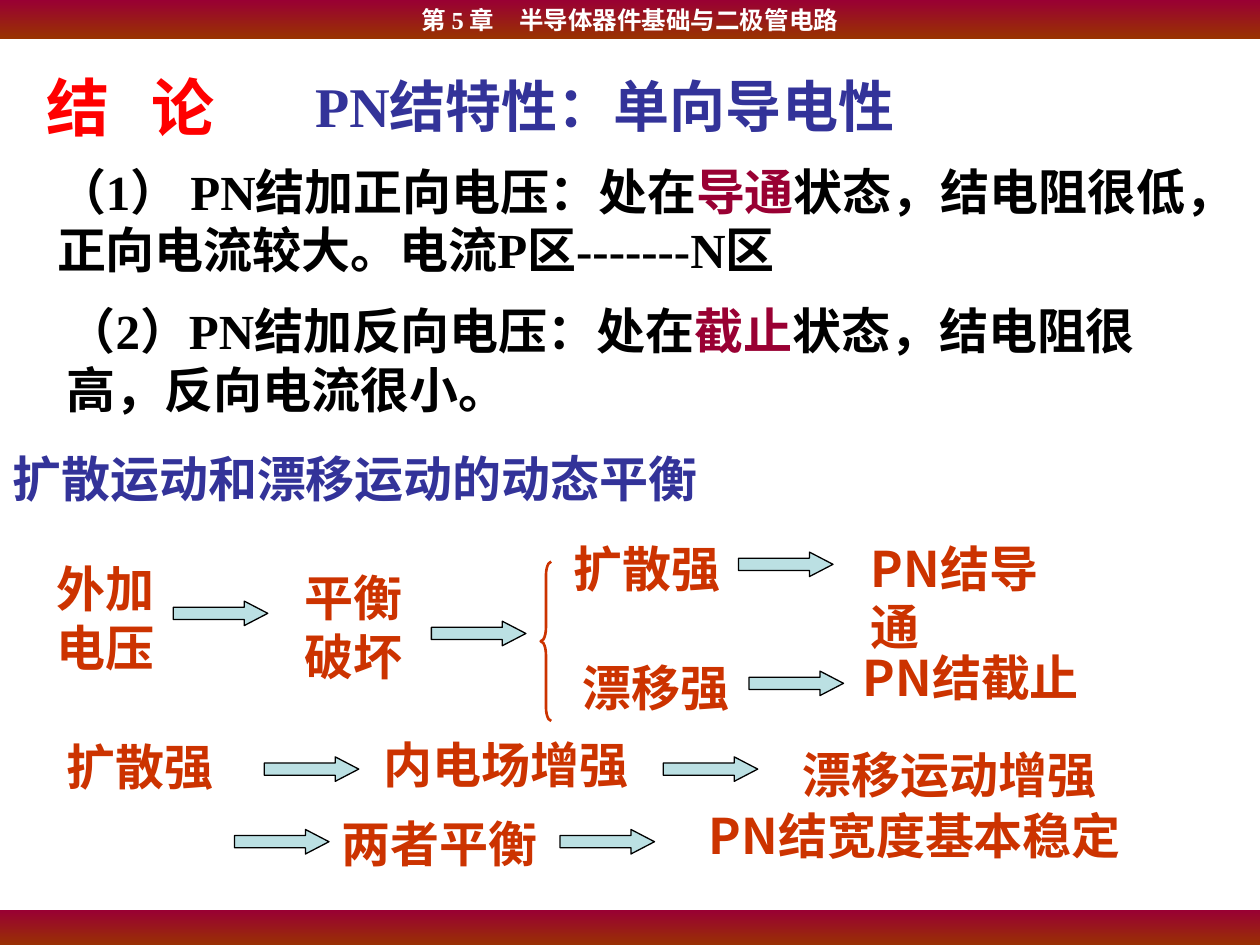
from lxml.etree import SubElement
from pptx import Presentation
from pptx.dml.color import RGBColor
from pptx.enum.shapes import MSO_SHAPE as Preset
from pptx.enum.text import MSO_ANCHOR as Anchor, PP_ALIGN as Align
from pptx.oxml.ns import qn
from pptx.util import Pt

THEME = {
    "serif": "Times New Roman", "sans": "Noto Sans CJK SC",
    "maroon": "990033", "rust": "993300", "white": "FFFFFF", "red": "FF0000",
    "navy": "333399", "black": "000000", "orange": "CC3300", "ice": "BBE0E3",
    "header": 14, "conclusion": 36, "title": 32, "body": 28,
}
SLIDE_W, SLIDE_H = 720, 540
LINE_H = 41
ARROW_W, ARROW_H = 54, 14

CHAPTER = "第 5 章　半导体器件基础与二极管电路"
BANDS = [(520, 21.5), (0, 22.5)]
CONCLUSION_TAB = 60

HEADINGS = [
    ("结\t论", "conclusion", "red", (19.5, 35.5, 150, 94)),
    ("PN结特性：单向导电性", "title", "navy", (173, 37.5, 510, 46)),
    ("扩散运动和漂移运动的动态平衡", "body", "navy", (0, 253, 564, LINE_H)),
]
RULES = [
    (("（1） PN结加正向电压：处在", "导通", "状态，结电阻很低，正向电流较大。电流P区-------N区"),
     (25.5, 88.5, 671, 75)),
    (("（2）PN结加反向电压：处在", "截止", "状态，结电阻很高，反向电流很小。"),
     (31, 168, 636, 75)),
]
STEPS = [
    ("外加电压", "serif", 25, 315.5, 84),
    ("平衡破坏", "serif", 167, 321, 84),
    ("扩散强", "serif", 320.5, 304, 108),
    ("漂移强", "serif", 326, 372, 102),
    ("PN结导通", "sans", 490.5, 304, 132),
    ("PN结截止", "sans", 486, 366.5, 180),
    ("扩散强", "serif", 31, 417.5, 108),
    ("内电场增强", "serif", 212, 416, 154),
    ("漂移运动增强", "serif", 451.5, 422, 186),
    ("两者平衡", "serif", 188, 461.5, 132),
    ("PN结宽度基本稳定", "sans", 398, 456.5, 264),
]
ARROWS = [
    (99, 343.5), (246.5, 355), (422, 315.5), (428, 383.5),
    (151, 432.5), (379, 432.5),
    (134, 474), (320, 474),
]
BRACE = (309, 321, 6, 91)


def colour(key):
    return RGBColor.from_string(THEME[key])


def style(run, size, ink, face="serif"):
    font = run.font
    font.size, font.bold, font.name = Pt(THEME[size]), True, THEME[face]
    font.color.rgb = colour(ink)
    SubElement(font._element, qn("a:ea"), typeface=THEME["sans"])


def add_preset(slide, preset, box):
    shape = slide.shapes.add_shape(preset, *map(Pt, box))
    shape.shadow.inherit = False
    return shape


def add_label(slide, parts, box, size, inks, face="serif"):
    label = slide.shapes.add_textbox(*map(Pt, box))
    label.text_frame.word_wrap = True
    paragraph = label.text_frame.paragraphs[0]
    for part, ink in zip(parts, inks):
        run = paragraph.add_run()
        run.text = part
        style(run, size, ink, face)
    return paragraph


def add_band(slide, top, height):
    band = add_preset(slide, Preset.RECTANGLE, (0, top, SLIDE_W, height))
    band.fill.gradient()
    band.fill.gradient_angle = 270
    for stop, position, key in zip(band.fill.gradient_stops, (0, 1), ("maroon", "rust")):
        stop.position = position
        stop.color.rgb = colour(key)
    band.line.fill.background()
    return band


def add_arrow(slide, left, top):
    arrow = add_preset(slide, Preset.RIGHT_ARROW, (left, top, ARROW_W, ARROW_H))
    arrow.adjustments[1] = 0.96
    arrow.fill.solid()
    arrow.fill.fore_color.rgb = colour("ice")
    arrow.line.color.rgb = colour("black")
    arrow.line.width = Pt(0.75)


def add_brace(slide):
    brace = add_preset(slide, Preset.LEFT_BRACE, BRACE)
    brace.adjustments[0] = 1.31
    brace.fill.background()
    brace.line.color.rgb = colour("orange")
    brace.line.width = Pt(1.5)


def main():
    deck = Presentation()
    deck.slide_width, deck.slide_height = Pt(SLIDE_W), Pt(SLIDE_H)
    slide = deck.slides.add_slide(deck.slide_layouts[6])

    footer, header = [add_band(slide, *band) for band in BANDS]
    chapter = header.text_frame
    chapter.text = CHAPTER
    chapter.word_wrap = False
    chapter.vertical_anchor = Anchor.MIDDLE
    chapter.paragraphs[0].alignment = Align.CENTER
    style(chapter.paragraphs[0].runs[0], "header", "white")

    for wording, size, ink, box in HEADINGS:
        heading = add_label(slide, [wording], box, size, [ink])
        if "\t" in wording:
            tabs = SubElement(heading._p.get_or_add_pPr(), qn("a:tabLst"))
            SubElement(tabs, qn("a:tab"), pos=str(Pt(CONCLUSION_TAB)), algn="l")
    for parts, box in RULES:
        add_label(slide, parts, box, "body", ("black", "maroon", "black"))
    for wording, face, left, top, width in STEPS:
        add_label(slide, [wording], (left, top, width, LINE_H), "body", ["orange"], face)
    for left, top in ARROWS:
        add_arrow(slide, left, top)
    add_brace(slide)

    deck.save("out.pptx")


if __name__ == "__main__":
    main()
